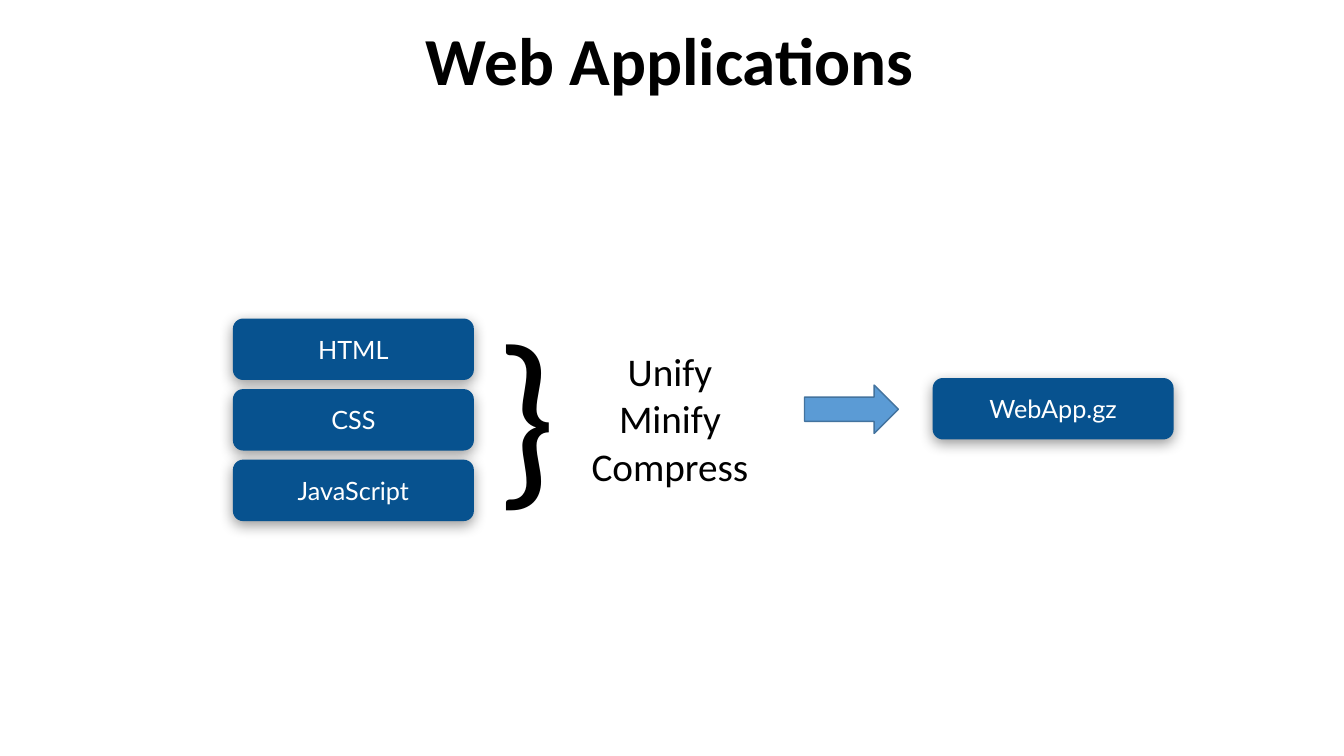
"""Build the Web Applications slide: three sources bundled into one archive."""
from typing import NamedTuple

from lxml import etree
from pptx import Presentation
from pptx.dml.color import RGBColor
from pptx.enum.shapes import MSO_SHAPE
from pptx.enum.text import MSO_ANCHOR, MSO_AUTO_SIZE, PP_ALIGN
from pptx.oxml.ns import qn
from pptx.util import Inches, Pt

ROUND, ARROW = MSO_SHAPE.ROUNDED_RECTANGLE, MSO_SHAPE.RIGHT_ARROW
MIDDLE, TOP = MSO_ANCHOR.MIDDLE, MSO_ANCHOR.TOP
LEFT, CENTER = PP_ALIGN.LEFT, PP_ALIGN.CENTER
FIXED = MSO_AUTO_SIZE.NONE
TITLE_ONLY = 5

COLORS = {"box": "07528F", "arrow": "5B9BD5", "edge": "43739E",
          "ink": "000000", "paper": "FFFFFF"}


class Area(NamedTuple):
    """Left, top, width and height in inches."""
    left: float
    top: float
    width: float
    height: float


class Style(NamedTuple):
    """Look of a piece of text."""
    font: str
    size: int
    color: str
    align: PP_ALIGN = CENTER
    bold: bool = False


class Label(NamedTuple):
    """Free text and its place."""
    text: str
    area: Area
    style: Style


class Box(NamedTuple):
    """File box with its top left corner."""
    text: str
    left: float
    top: float


HEAD = Style("Calibri", 48, "ink", bold=True)
FILE = Style("Lato", 18, "paper")
WIDTH, HEIGHT, PITCH = 2.39, 0.61, 0.7

SOURCES = ["HTML", "CSS", "JavaScript"]
BOXES = [Box(name, 2.31, 3.16 + row * PITCH) for row, name in enumerate(SOURCES)]
BOXES.append(Box("WebApp.gz", 9.25, 3.75))
LABELS = [
    Label("}", Area(4.82, 2.84, 0.81, 2.42), Style("Calibri", 138, "ink", LEFT)),
    Label("Unify\nMinify\nCompress", Area(5.76, 3.4, 1.77, 1.51),
          Style("Calibri", 28, "ink")),
]


def color(name: str) -> RGBColor:
    """Look up a named colour."""
    return RGBColor.from_string(COLORS[name])


def place(area: Area) -> list:
    """Turn an area into lengths."""
    return [Inches(side) for side in area]


def write(frame, text: str, style: Style) -> None:
    """Set text and format its runs."""
    frame.text = text
    for para in frame.paragraphs:
        para.alignment = style.align
        for run in para.runs:
            run.font.name = style.font
            run.font.size = Pt(style.size)
            run.font.bold = style.bold
            run.font.color.rgb = color(style.color)


def shade(shape) -> None:
    """Give a shape a soft shadow below it."""
    shape.shadow.inherit = False
    effects = shape._element.spPr.find(qn("a:effectLst"))
    outer = etree.SubElement(effects, qn("a:outerShdw"), blurRad=str(Pt(10)),
                             dist=str(Pt(3)), dir="5400000", rotWithShape="0")
    tint = etree.SubElement(outer, qn("a:srgbClr"), val=COLORS["ink"])
    etree.SubElement(tint, qn("a:alpha"), val="40000")


def add_title(slide, text: str) -> None:
    """Move and fill the title placeholder."""
    title = slide.shapes.title
    area = Area(0.11, 0.13, 13.07, 0.91)
    title.left, title.top, title.width, title.height = place(area)
    frame = title.text_frame
    frame.auto_size = FIXED
    frame.vertical_anchor = TOP
    write(frame, text, HEAD)


def add_box(slide, box: Box) -> None:
    """Draw a file box."""
    area = Area(box.left, box.top, WIDTH, HEIGHT)
    shape = slide.shapes.add_shape(ROUND, *place(area))
    shape.fill.solid()
    shape.fill.fore_color.rgb = color("box")
    shape.line.fill.background()
    shade(shape)
    frame = shape.text_frame
    frame.vertical_anchor = MIDDLE
    frame.margin_left = frame.margin_right = Inches(0.07)
    frame.margin_top = frame.margin_bottom = Inches(0.04)
    write(frame, box.text, FILE)


def add_label(slide, label: Label) -> None:
    """Draw free text that does not wrap."""
    frame = slide.shapes.add_textbox(*place(label.area)).text_frame
    frame.word_wrap = False
    write(frame, label.text, label.style)


def add_arrow(slide, area: Area) -> None:
    """Draw the arrow towards the result."""
    shape = slide.shapes.add_shape(ARROW, *place(area))
    shape.shadow.inherit = False
    shape.fill.solid()
    shape.fill.fore_color.rgb = color("arrow")
    shape.line.color.rgb = color("edge")
    shape.line.width = Pt(1)


def main() -> None:
    """Build and save the deck."""
    deck = Presentation()
    deck.slide_width, deck.slide_height = Inches(13.33), Inches(7.5)
    slide = deck.slides.add_slide(deck.slide_layouts[TITLE_ONLY])
    add_title(slide, "Web Applications")
    for box in BOXES:
        add_box(slide, box)
    for label in LABELS:
        add_label(slide, label)
    add_arrow(slide, Area(7.98, 3.82, 0.93, 0.48))
    deck.save("out.pptx")


main()
